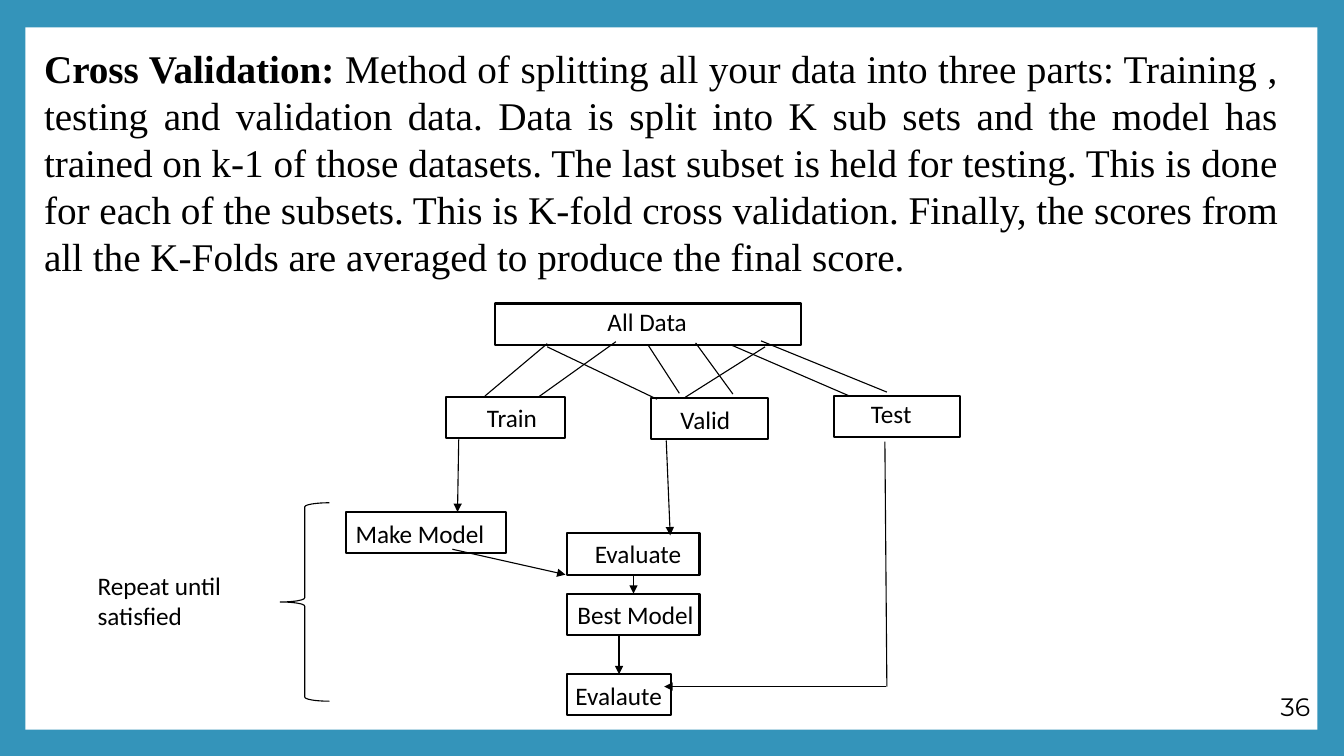
from dataclasses import dataclass
from typing import NamedTuple

from lxml import etree
from pptx import Presentation
from pptx.dml.color import RGBColor
from pptx.enum.shapes import MSO_CONNECTOR, MSO_SHAPE
from pptx.enum.text import MSO_ANCHOR, PP_ALIGN
from pptx.oxml.ns import qn
from pptx.util import Cm, Pt

RECT, BRACE = MSO_SHAPE.RECTANGLE, MSO_SHAPE.LEFT_BRACE
LINE = MSO_CONNECTOR.STRAIGHT
TOP, MIDDLE = MSO_ANCHOR.TOP, MSO_ANCHOR.MIDDLE
LEFT, RIGHT, JUSTIFY = PP_ALIGN.LEFT, PP_ALIGN.RIGHT, PP_ALIGN.JUSTIFY
HIGH = 1.04  # height of every box in cm


@dataclass(frozen=True)
class Theme:
    frame: RGBColor = RGBColor(0x34, 0x94, 0xBA)
    paper: RGBColor = RGBColor(255, 255, 255)
    ink: RGBColor = RGBColor(0, 0, 0)
    intro: Pt = Pt(28)
    label: Pt = Pt(18)
    edge: Pt = Pt(1.5)
    thin: Pt = Pt(0.79)
    serif: str = "Times New Roman"
    sans: str = "Calibri"
    digit: str = "Montserrat"


THEME = Theme()


class Area(NamedTuple):
    x: float
    y: float
    w: float
    h: float


class Box(NamedTuple):
    key: str
    text: str
    x: float
    y: float
    w: float
    inset: float  # left margin of the label
    drop: float  # top margin of the label


class Link(NamedTuple):
    x1: float
    y1: float
    x2: float
    y2: float
    arrow: bool = False
    start: str = ""  # box left at its bottom middle
    end: str = ""  # box met at its top middle


BOXES = [
    Box("all", "All Data", 12.47, 7.65, 7.72, 2.84, 0.08),
    Box("test", "Test", 21.01, 9.98, 3.18, 0.94, 0.05),
    Box("valid", "Valid", 16.41, 10.03, 2.95, 0.74, 0.15),
    Box("train", "Train", 11.23, 10.01, 3.02, 1.04, 0.13),
    Box("make", "Make Model", 8.71, 12.9, 4.04, 0.25, 0.15),
    Box("check", "Evaluate", 14.3, 13.44, 3.33, 0.69, 0.13),
    Box("best", "Best Model", 14.3, 14.96, 3.33, 0.25, 0.13),
    Box("last", "Evalaute", 14.3, 16.99, 2.62, 0.2, 0.15),
]

LINKS = [
    # All Data fans out
    Link(16.33, 8.69, 17.12, 9.91, start="all"),
    Link(15.52, 8.61, 13.56, 10.01),
    Link(19.28, 8.74, 17.27, 10.01),
    Link(13.79, 8.74, 16.56, 10.06),
    Link(13.79, 8.66, 12.22, 9.98),
    Link(18.42, 8.69, 21.41, 9.98),
    Link(17.53, 8.64, 18.47, 9.93),
    Link(19.18, 8.59, 22.35, 9.88),
    # Steps of the flow
    Link(11.56, 11.07, 11.53, 12.9, True),
    Link(16.79, 11.1, 16.89, 13.49, True),
    Link(15.95, 14.48, 15.95, 14.96, True, "check", "best"),
    Link(15.6, 16.03, 15.6, 16.99, True),
    Link(22.3, 11.13, 22.35, 17.3),
    Link(22.33, 17.3, 16.74, 17.3, True),
    Link(11.4, 13.84, 14.25, 14.48, True),
]

INTRO = (
    "Method of splitting all your data into three parts: Training , testing and "
    "validation data. Data is split into K sub sets and the model has trained on "
    "k-1 of those datasets. The last subset is held for testing. This is done for "
    "each of the subsets. This is K-fold cross validation. Finally, the scores from "
    "all the K-Folds are averaged to produce the final score."
)


def apply(target, values: dict) -> None:
    for name, value in values.items():
        setattr(target, name, value)


def write(shape, text: str, font: str, size: Pt, align=LEFT, anchor=TOP,
          lead: str = "") -> None:
    """Fill a shape with one paragraph, led by bold words if given."""
    frame = shape.text_frame
    apply(frame, {"word_wrap": True, "vertical_anchor": anchor})
    para = frame.paragraphs[0]
    para.alignment = align
    for part, bold in ((lead, True), (text, False)):
        if part:
            run = para.add_run()
            run.text = part
            apply(run.font, {"name": font, "size": size, "bold": bold})
            run.font.color.rgb = THEME.ink


def add_text(slide, area: Area, *words, **look) -> None:
    write(slide.shapes.add_textbox(*map(Cm, area)), *words, **look)


def stroke(line, width: Pt) -> None:
    line.color.rgb = THEME.ink
    line.width = width


def add_form(slide, kind, area: Area, filled: bool, width: Pt | None):
    shape = slide.shapes.add_shape(kind, *map(Cm, area))
    shape.shadow.inherit = False
    if filled:
        shape.fill.solid()
        shape.fill.fore_color.rgb = THEME.paper
    else:
        shape.fill.background()
    if width:
        stroke(shape.line, width)
    else:
        shape.line.fill.background()
    return shape


def add_box(slide, box: Box):
    shape = add_form(slide, RECT, Area(box.x, box.y, box.w, HIGH), True, THEME.edge)
    apply(shape.text_frame, {
        "margin_left": Cm(box.inset), "margin_top": Cm(box.drop),
        "margin_right": 0, "margin_bottom": 0,
    })
    write(shape, box.text, THEME.sans, THEME.label)
    return shape


def add_link(slide, link: Link, forms: dict) -> None:
    wire = slide.shapes.add_connector(LINE, *map(Cm, link[:4]))
    if link.start:
        wire.begin_connect(forms[link.start], 2)
    if link.end:
        wire.end_connect(forms[link.end], 0)
    stroke(wire.line, THEME.thin)
    props = wire._element.spPr
    if link.arrow:
        etree.SubElement(props.find(qn("a:ln")), qn("a:tailEnd"), type="triangle")
    etree.SubElement(props, qn("a:effectLst"))


def main() -> None:
    deck = Presentation()
    apply(deck, {"slide_width": Cm(33.87), "slide_height": Cm(19.05)})
    slide = deck.slides.add_slide(deck.slide_layouts[6])

    # Frame and white panel
    slide.background.fill.solid()
    slide.background.fill.fore_color.rgb = THEME.frame
    add_form(slide, RECT, Area(0.64, 0.69, 32.56, 17.7), True, None)

    # Page number and definition
    add_text(slide, Area(28.52, 17.3, 4.75, 1.02), "36", THEME.digit, THEME.label,
             align=RIGHT, anchor=MIDDLE)
    add_text(slide, Area(0.86, 0.99, 31.6, 6.25), INTRO, THEME.serif, THEME.intro,
             align=JUSTIFY, lead="Cross Validation: ")

    # Flow chart
    forms = {box.key: add_box(slide, box) for box in BOXES}
    for link in LINKS:
        add_link(slide, link, forms)

    # Loop note with its brace
    add_text(slide, Area(2.21, 14.25, 3.66, 2.57), "Repeat until satisfied",
             THEME.sans, THEME.label)
    add_form(slide, BRACE, Area(7.06, 12.67, 1.24, 5), False, THEME.thin)

    deck.save("out.pptx")


if __name__ == "__main__":
    main()
